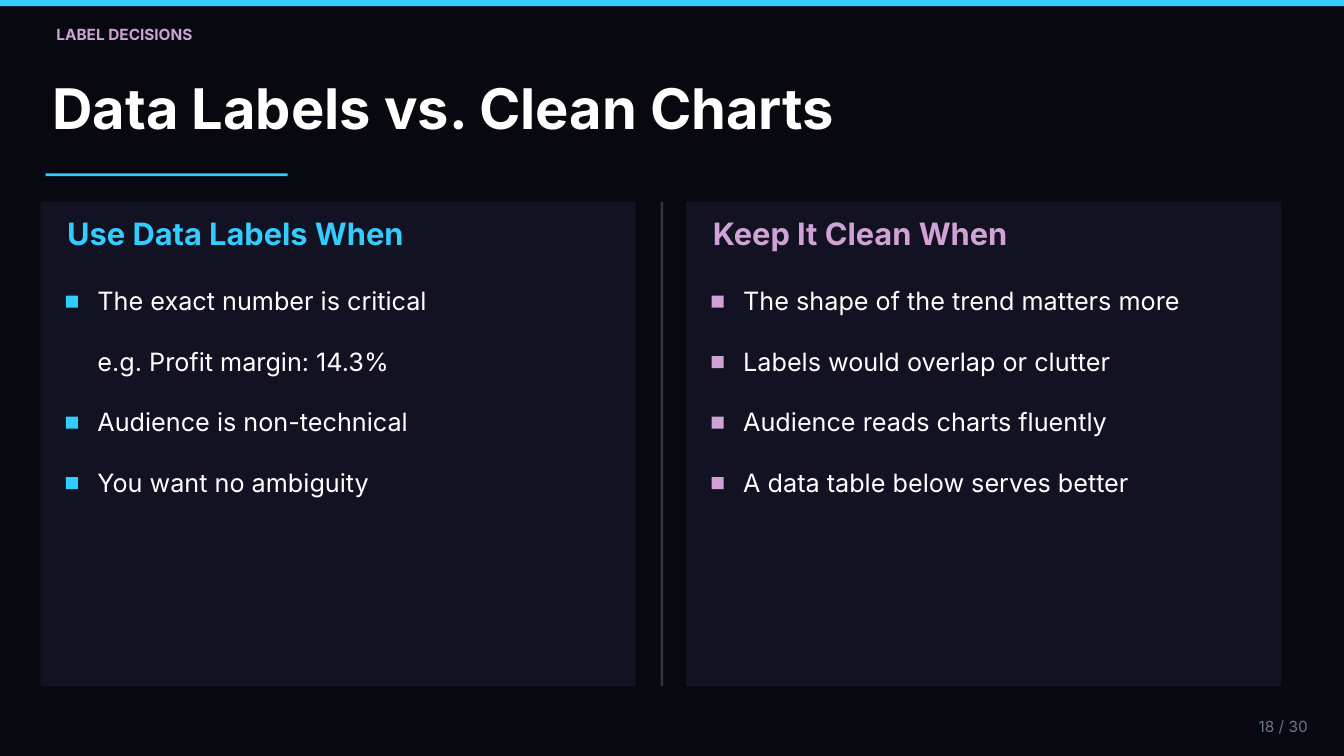
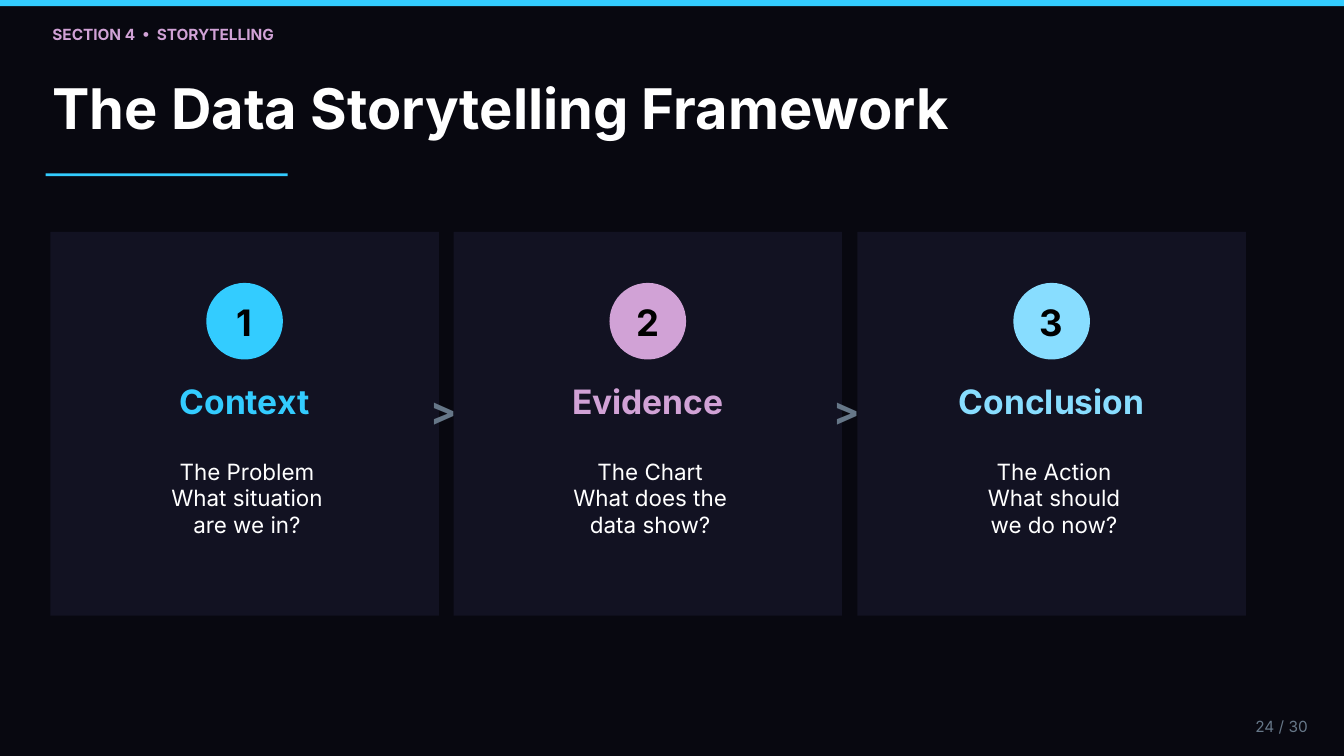
from dataclasses import dataclass

from pptx import Presentation
from pptx.dml.color import RGBColor
from pptx.enum.shapes import MSO_SHAPE
from pptx.enum.text import MSO_AUTO_SIZE, PP_ALIGN
from pptx.util import Pt

RECT, OVAL = MSO_SHAPE.RECTANGLE, MSO_SHAPE.OVAL
LEFT, MID, RIGHT = PP_ALIGN.LEFT, PP_ALIGN.CENTER, PP_ALIGN.RIGHT
GROW = MSO_AUTO_SIZE.SHAPE_TO_FIT_TEXT
SCALE = 9144  # EMU in one px, 100 px to the inch
BLANK = 6


@dataclass(frozen=True)
class Theme:
    # Colours
    back: str = "080810"
    card: str = "121222"
    split: str = "333344"
    cyan: str = "33CCFF"
    pink: str = "D1A2D6"
    sky: str = "88DDFF"
    white: str = "FFFFFF"
    black: str = "000000"
    grey: str = "667788"
    # Type
    face: str = "Inter"
    small: float = 16.5
    body: float = 24
    item: float = 27
    head: float = 33
    step: float = 36
    digit: float = 39
    arrow: float = 42
    title: float = 60
    lead: float = 1.2


THEME = Theme()
FRAME = {"margin_left": 0, "margin_top": 0, "margin_right": 0,
         "margin_bottom": 0, "word_wrap": True, "auto_size": GROW}


def apply(target, values):
    for name, value in values.items():
        setattr(target, name, value)


def rgb(code):
    return RGBColor.from_string(code)


def emu(*box):
    return [n * SCALE for n in box]


# Basic elements
def block(slide, box, color, kind=RECT):
    shape = slide.shapes.add_shape(kind, *emu(*box))
    shape.shadow.inherit = False
    shape.fill.solid()
    shape.fill.fore_color.rgb = rgb(color)
    shape.line.fill.background()


def label(slide, box, lines, size, color, bold=False, align=LEFT):
    frame = slide.shapes.add_textbox(*emu(*box)).text_frame
    apply(frame, FRAME)
    frame.text = "\n".join(lines)
    for para in frame.paragraphs:
        apply(para, {"alignment": align,
                     "line_spacing": Pt(size * THEME.lead)})
        apply(para.font, {"name": THEME.face, "size": Pt(size), "bold": bold})
        para.font.color.rgb = rgb(color)


# Parts that both slides share
def base(deck, tag, title, page, shift=0):
    slide = deck.slides.add_slide(deck.slide_layouts[BLANK])
    slide.background.fill.solid()
    slide.background.fill.fore_color.rgb = rgb(THEME.back)
    block(slide, (0, 0, 2000, 9), THEME.cyan)
    label(slide, (78 + shift, 37, 1181, 28), [tag], THEME.small, THEME.pink, True)
    label(slide, (78, 110, 1781, 100), [title], THEME.title, THEME.white, True)
    block(slide, (68, 258, 360, 4), THEME.cyan)
    label(slide, (1801, 1067, 145, 28), [f"{page} / 30"], THEME.small,
          THEME.grey, align=RIGHT)
    return slide


# Panel with a heading and marked rows
def panel(slide, x, color, head, rows):
    block(slide, (x, 300, 886, 721), THEME.card)
    label(slide, (x + 40, 319, 806, 55), [head], THEME.head, color, True)
    for i, (text, mark) in enumerate(rows):
        y = 425 + 90 * i
        if mark:
            block(slide, (x + 38, y + 15, 18, 18), color)
        label(slide, (x + 85, y, 761, 45), [text], THEME.item, THEME.white)


# Card with a numbered disc
def step(slide, x, num, color, name, lines):
    block(slide, (x, 345, 578, 571), THEME.card)
    block(slide, (x + 232, 421, 114, 114), color, OVAL)
    label(slide, (x + 242, 446, 94, 65), [str(num)], THEME.digit,
          THEME.black, True, MID)
    label(slide, (x + 10, 567, 558, 60), [name], THEME.step, color, True, MID)
    label(slide, (x + 25, 681, 535, 119), lines, THEME.body, THEME.white,
          align=MID)


def choices(deck):
    slide = base(deck, "LABEL DECISIONS", "Data Labels vs. Clean Charts", 18, 6)
    panel(slide, 60, THEME.cyan, "Use Data Labels When", [
        ("The exact number is critical", True),
        ("e.g. Profit margin: 14.3%", False),
        ("Audience is non-technical", True),
        ("You want no ambiguity", True)])
    panel(slide, 1021, THEME.pink, "Keep It Clean When", [
        ("The shape of the trend matters more", True),
        ("Labels would overlap or clutter", True),
        ("Audience reads charts fluently", True),
        ("A data table below serves better", True)])
    block(slide, (983, 300, 4, 721), THEME.split)


def story(deck):
    slide = base(deck, "SECTION 4  •  STORYTELLING",
                 "The Data Storytelling Framework", 24)
    steps = [
        (THEME.cyan, "Context",
         ["The Problem", "What situation", "are we in?"]),
        (THEME.pink, "Evidence",
         ["The Chart", "What does the", "data show?"]),
        (THEME.sky, "Conclusion",
         ["The Action", "What should", "we do now?"])]
    for i, (color, name, lines) in enumerate(steps):
        x = 75 + 1201 * i // 2
        step(slide, x, i + 1, color, name, lines)
        # The next card overlaps the arrow's right edge
        if i < len(steps) - 1:
            label(slide, (x + 566, 575, 39, 70), [">"], THEME.arrow,
                  THEME.grey, True, MID)


def main():
    deck = Presentation()
    apply(deck, {"slide_width": 2000 * SCALE, "slide_height": 1125 * SCALE})
    choices(deck)
    story(deck)
    deck.save("out.pptx")


if __name__ == "__main__":
    main()
